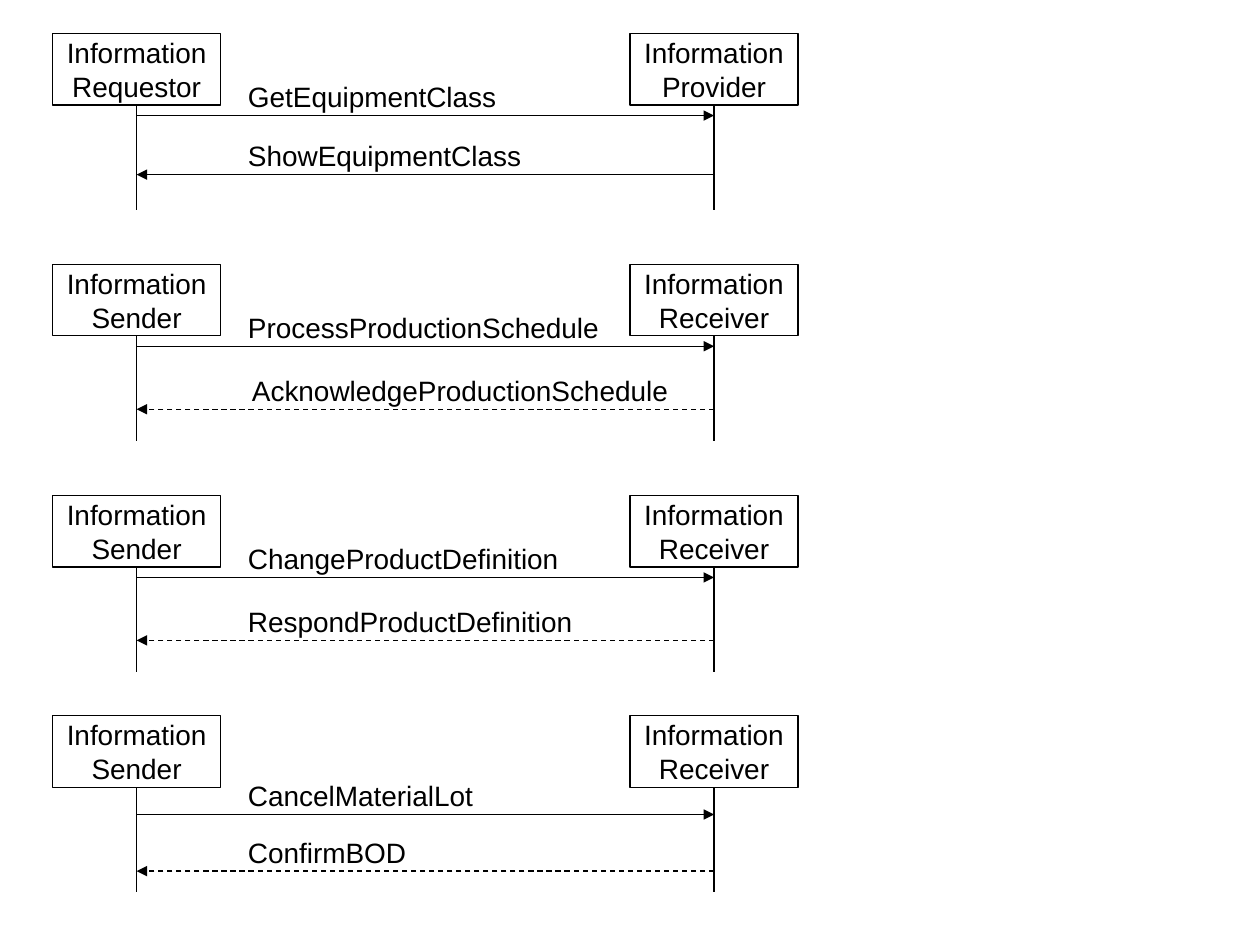
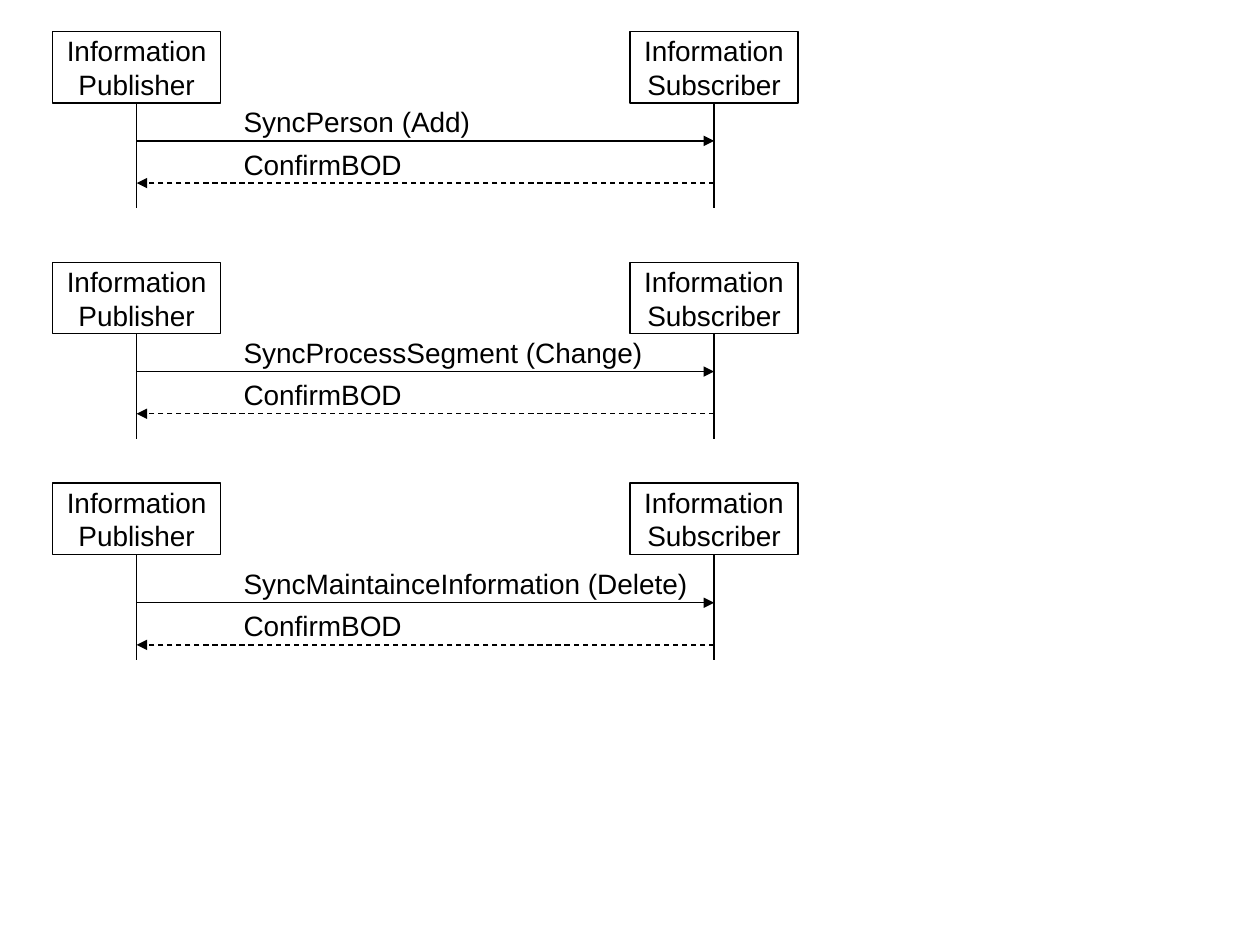
import pptx
import pptx.util
from pptx.dml.color import RGBColor
from pptx.enum.dml import MSO_LINE
from pptx.enum.shapes import MSO_CONNECTOR, MSO_SHAPE
from pptx.enum.text import MSO_ANCHOR, MSO_AUTO_SIZE, PP_ALIGN
from pptx.oxml.ns import qn
from lxml import etree

Cm = pptx.util.Cm
Pt = pptx.util.Pt

COLOURS = {"ink": "000000", "paper": "FFFFFF"}
FONT = "Arial"

DIAGRAMS = [
    {"label_left": 4.75, "exchanges": [
        (0.68, ("Requestor", "Provider"), [
            ("GetEquipmentClass", 1.65, 5.6, False),
            ("ShowEquipmentClass", 2.84, 6.1, False)]),
        (5.33, ("Sender", "Receiver"), [
            ("ProcessProductionSchedule", 1.65, 7.65, False),
            ("AcknowledgeProductionSchedule", 2.92, 8.95, True)]),
        (9.99, ("Sender", "Receiver"), [
            ("ChangeProductDefinition", 1.65, 6.85, False),
            ("RespondProductDefinition", 2.92, 7.1, True)]),
        (14.43, ("Sender", "Receiver"), [
            ("CancelMaterialLot", 1.99, 5.1, False),
            ("ConfirmBOD", 3.13, 3.75, True)]),
    ]},
    {"label_left": 4.66, "exchanges": [
        (0.64, ("Publisher", "Subscriber"), [
            ("SyncPerson (Add)", 2.2, 5.15, False),
            ("ConfirmBOD", 3.05, 3.75, True)]),
        (5.29, ("Publisher", "Subscriber"), [
            ("SyncProcessSegment (Change)", 2.2, 8.6, False),
            ("ConfirmBOD", 3.05, 3.75, True)]),
        (9.74, ("Publisher", "Subscriber"), [
            ("SyncMaintainceInformation (Delete)", 2.41, 9.5, False),
            ("ConfirmBOD", 3.26, 3.75, True)]),
    ]},
]
LABEL_SHIFTS = {"AcknowledgeProductionSchedule": 0.08}

ROLE_LEFTS = (1.06, 12.7)
ROLE_WIDTH, ROLE_HEIGHT = 3.39, 1.44
LIFELINE_XS = [left + ROLE_WIDTH / 2 for left in ROLE_LEFTS]
LIFELINE_LENGTH = 2.12
LABEL_RISE, LABEL_HEIGHT = 0.85, 0.94


def colour(name):
    return RGBColor.from_string(COLOURS[name])


def write(frame, lines, align):
    frame.word_wrap = False
    frame.text = "\n".join(lines)
    for paragraph in frame.paragraphs:
        paragraph.alignment = align
        paragraph.font.name = FONT
        paragraph.font.size = Pt(16)
        paragraph.font.color.rgb = colour("ink")


def add_role(slide, role, left, top):
    box = slide.shapes.add_shape(MSO_SHAPE.RECTANGLE, Cm(left), Cm(top),
                                 Cm(ROLE_WIDTH), Cm(ROLE_HEIGHT))
    box.shadow.inherit = False
    box.fill.solid()
    box.fill.fore_color.rgb = colour("paper")
    box.line.color.rgb = colour("ink")
    box.line.width = Pt(0.75)
    box.text_frame.vertical_anchor = MSO_ANCHOR.MIDDLE
    write(box.text_frame, ["Information", role], PP_ALIGN.CENTER)


def add_label(slide, text, left, top, width):
    label = slide.shapes.add_textbox(Cm(left), Cm(top), Cm(width), Cm(LABEL_HEIGHT))
    write(label.text_frame, [text], PP_ALIGN.LEFT)
    label.text_frame.auto_size = MSO_AUTO_SIZE.SHAPE_TO_FIT_TEXT


def add_line(slide, x1, y1, x2, y2, dashed=False, arrow=False):
    line = slide.shapes.add_connector(MSO_CONNECTOR.STRAIGHT,
                                      Cm(x1), Cm(y1), Cm(x2), Cm(y2))
    line.line.color.rgb = colour("ink")
    line.line.width = Pt(0.75)
    if dashed:
        line.line.dash_style = MSO_LINE.DASH
    if arrow:
        outline = line._element.spPr.find(qn("a:ln"))
        etree.SubElement(outline, qn("a:tailEnd"), type="triangle")
    etree.SubElement(line._element.spPr, qn("a:effectLst"))


def add_exchange(slide, label_left, top, roles, messages):
    for role, left in zip(roles, ROLE_LEFTS):
        add_role(slide, role, left, top)
    for text, offset, width, _ in messages:
        left = label_left + LABEL_SHIFTS.get(text, 0)
        add_label(slide, text, left, top + offset - LABEL_RISE, width)
    foot = top + ROLE_HEIGHT
    for x in LIFELINE_XS:
        add_line(slide, x, foot, x, foot + LIFELINE_LENGTH)
    directions = (LIFELINE_XS, LIFELINE_XS[::-1])
    for (_, offset, _, dashed), (start, end) in zip(messages, directions):
        add_line(slide, start, top + offset, end, top + offset, dashed, arrow=True)


def main():
    deck = pptx.Presentation()
    deck.slide_width, deck.slide_height = Cm(25.4), Cm(19.05)
    for diagram in DIAGRAMS:
        slide = deck.slides.add_slide(deck.slide_layouts.get_by_name("Blank"))
        for exchange in diagram["exchanges"]:
            add_exchange(slide, diagram["label_left"], *exchange)
    deck.save("out.pptx")


if __name__ == "__main__":
    main()
